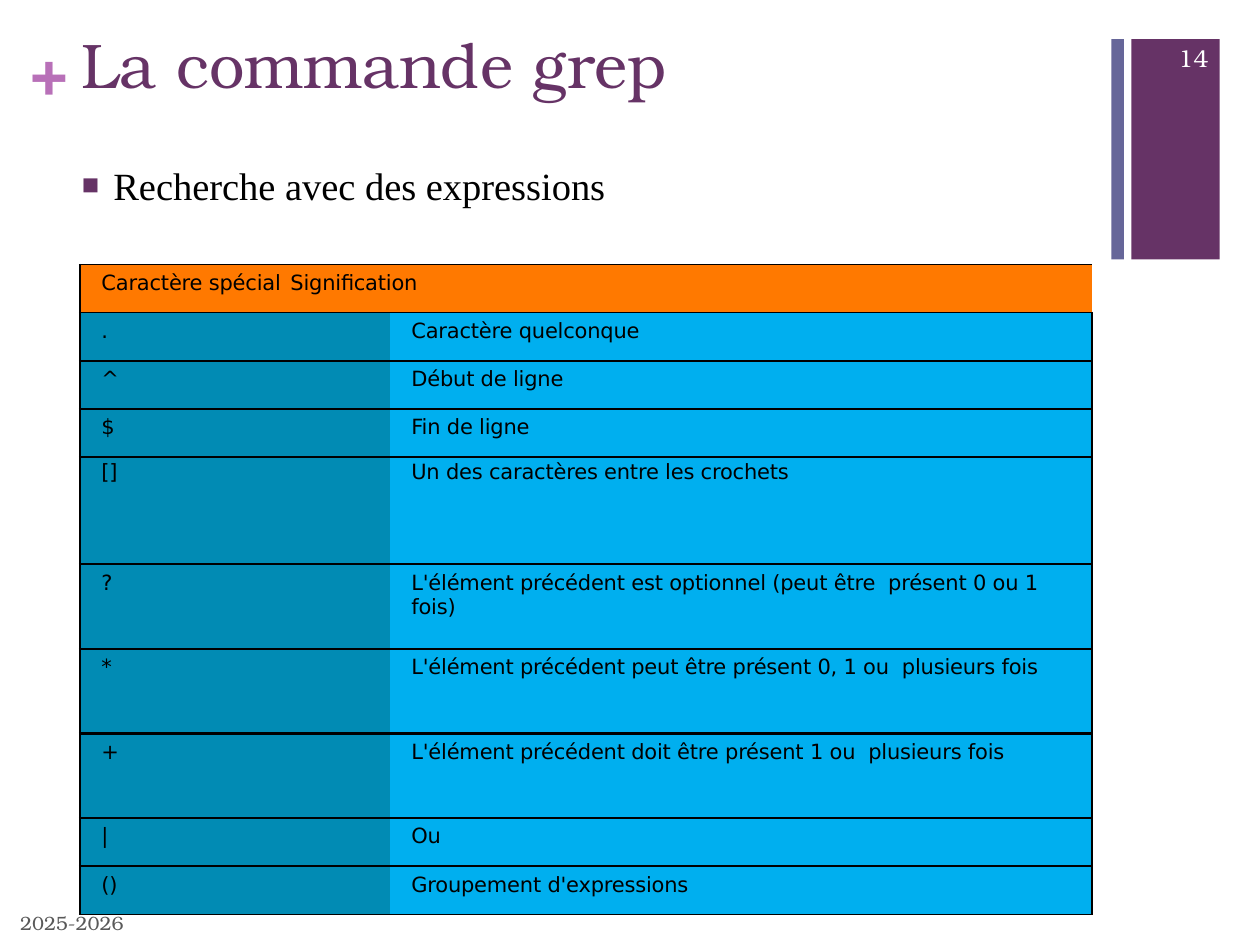
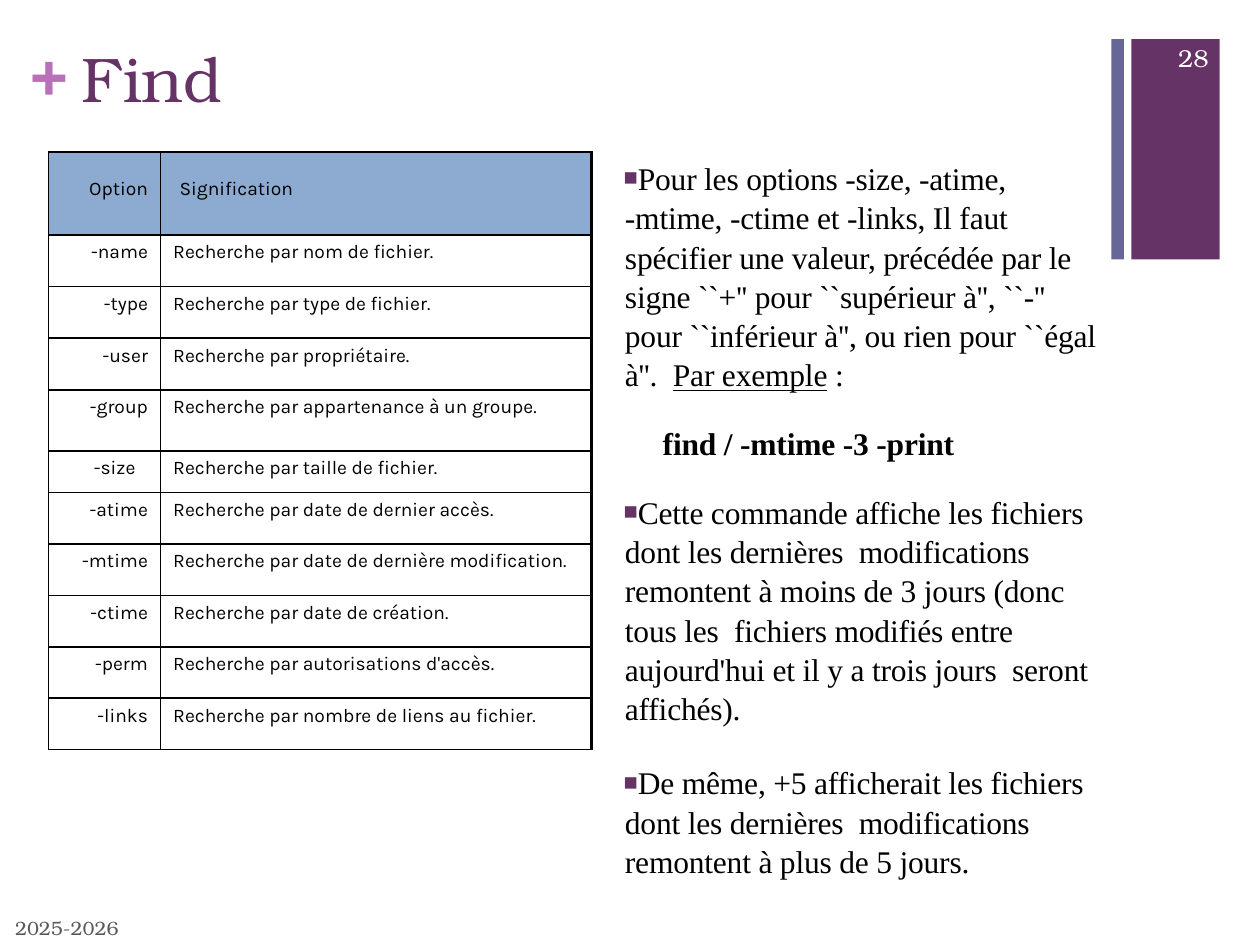
"""Builds two slides on the grep and find commands."""
import lxml.etree
import pptx
import pptx.dml.color
import pptx.enum.shapes
import pptx.enum.text
import pptx.oxml.ns
import pptx.util

RGB = pptx.dml.color.RGBColor
PURPLE = RGB(0x66, 0x33, 0x66)
LILAC = RGB(0xB8, 0x70, 0xB8)
SLATE = RGB(0x66, 0x66, 0x99)
GREY = RGB(0x59, 0x59, 0x59)
BLACK = RGB(0, 0, 0)
WHITE = RGB(0xFF, 0xFF, 0xFF)
ORANGE = RGB(0xFF, 0x79, 0x00)
TEAL = RGB(0x01, 0x8B, 0xB4)
SKY = RGB(0x00, 0xAF, 0xEF)
STEEL = RGB(0x8D, 0xAB, 0xD0)

ALIGN = pptx.enum.text.PP_ALIGN
ANCHOR = pptx.enum.text.MSO_ANCHOR
PT = pptx.util.Pt
UNIT = pptx.util.Inches(0.1)
COLUMNS, ROWS = 100, 75
THIN, THICK = 0.96, 1.47
NO_TABLE_STYLE = "{2D5ABB26-0587-4C30-8999-92F81FD0307C}"

STYLES = {
    "title": (PURPLE, {"name": "TeX Gyre Bonum", "size": PT(36)}),
    "plus": (LILAC, {"name": "TeX Gyre Bonum", "size": PT(36), "bold": True}),
    "year": (GREY, {"name": "TeX Gyre Bonum", "size": PT(11)}),
    "number": (WHITE, {"name": "TeX Gyre Bonum", "size": PT(14)}),
    "lead": (BLACK, {"name": "Times New Roman", "size": PT(22)}),
    "body": (BLACK, {"name": "Times New Roman", "size": PT(18)}),
    "grep": (BLACK, {"name": "DejaVu Sans", "size": PT(12)}),
    "find": (BLACK, {"name": "Karla", "size": PT(11)}),
}

GREP_ROWS = [
    ("Caractère spécial\tSignification", ""),
    (".", "Caractère quelconque"),
    ("^", "Début de ligne"),
    ("$", "Fin de ligne"),
    ("[]", "Un des caractères entre les crochets"),
    ("", ""),
    ("?", "L'élément précédent est optionnel (peut être  présent 0 ou 1 fois)"),
    ("*", "L'élément précédent peut être présent 0, 1 ou  plusieurs fois"),
    ("+", "L'élément précédent doit être présent 1 ou  plusieurs fois"),
    ("|", "Ou"),
    ("()", "Groupement d'expressions"),
]
GREP_HEIGHTS = [3.82] * 4 + [4.5, 3.8] + [6.72] * 3 + [3.82, 3.85]

FIND_ROWS = [
    ("Option", "Signification"),
    ("-name", "Recherche par nom de fichier."),
    ("-type", "Recherche par type de fichier."),
    ("-user", "Recherche par propriétaire."),
    ("-group", "Recherche par appartenance à un groupe."),
    ("-size", "Recherche par taille de fichier."),
    ("-atime", "Recherche par date de dernier accès."),
    ("-mtime", "Recherche par date de dernière modification."),
    ("-ctime", "Recherche par date de création."),
    ("-perm", "Recherche par autorisations d'accès."),
    ("-links", "Recherche par nombre de liens au fichier."),
]
FIND_HEIGHTS = [6.6] + [4.1] * 3 + [4.85, 3.3] + [4.08] * 5

FIND_OPTIONS = (
    "Pour les options -size, -atime, -mtime, -ctime et -links, Il faut spécifier "
    "une valeur, précédée par le signe ``+'' pour ``supérieur à'', ``-'' pour "
    "``inférieur à'', ou rien pour ``égal à''.  "
)
FIND_RESULT = (
    "Cette commande affiche les fichiers dont les dernières  modifications remontent "
    "à moins de 3 jours (donc tous les  fichiers modifiés entre aujourd'hui et il "
    "y a trois jours  seront affichés)."
)
FIND_VARIANT = (
    "De même, +5 afficherait les fichiers dont les dernières  modifications "
    "remontent à plus de 5 jours."
)


def grid(*counts):
    """Turn counts of grid columns or rows into lengths."""
    return [round(count * UNIT) for count in counts]


def assign(target, values):
    """Set each named attribute of the target."""
    for name, value in values.items():
        setattr(target, name, value)


def add_xml(parent, tag, **attributes):
    """Append a DrawingML element."""
    return lxml.etree.SubElement(parent, pptx.oxml.ns.qn(f"a:{tag}"), attributes)


def write(paragraph, text, style, tracking=0, **extra):
    """Add a run in one of the shared text styles."""
    colour, values = STYLES[style]
    run = paragraph.add_run()
    run.text = text
    assign(run.font, {**values, **extra})
    run.font.color.rgb = colour
    if tracking:
        run.font._element.set("spc", str(tracking))


def indent(paragraph, left, first=0):
    """Set the left margin and first-line indent in grid columns."""
    margin, hanging = grid(left, first)
    properties = paragraph._p.get_or_add_pPr()
    properties.set("marL", str(margin))
    properties.set("indent", str(hanging))
    return properties


def mark(paragraph, left, bulleted=True):
    """Give a body paragraph a square bullet, or none."""
    properties = indent(paragraph, left, -2.5 if bulleted else 0)
    if bulleted:
        add_xml(add_xml(properties, "buClr"), "srgbClr", val=str(PURPLE))
        add_xml(properties, "buSzPct", val="75000")
        add_xml(properties, "buChar", char="■")
    else:
        add_xml(properties, "buNone")


def place(shape, left, top, width, height):
    """Move a placeholder to a grid area."""
    names = ("left", "top", "width", "height")
    assign(shape, dict(zip(names, grid(left, top, width, height))))
    assign(shape.text_frame, {
        "auto_size": pptx.enum.text.MSO_AUTO_SIZE.NONE,
        "vertical_anchor": ANCHOR.TOP,
        "word_wrap": True,
    })
    return shape.text_frame


def add_band(slide, area, colour):
    """Draw a plain vertical band."""
    band = slide.shapes.add_shape(pptx.enum.shapes.MSO_SHAPE.RECTANGLE, *grid(*area))
    band.shadow.inherit = False
    band.fill.solid()
    band.fill.fore_color.rgb = colour
    band.line.fill.background()


def add_label(slide, area, text, style, align=ALIGN.RIGHT, **frame_values):
    """Add a one-line text box."""
    frame = slide.shapes.add_textbox(*grid(*area)).text_frame
    assign(frame, {"word_wrap": True, **frame_values})
    frame.paragraphs[0].alignment = align
    write(frame.paragraphs[0], text, style)


def add_page(deck, title, title_top, number, year_corner, body_area):
    """Add a slide with the shared decoration and return it with its body frame."""
    slide = deck.slides.add_slide(deck.slide_layouts[1])
    add_band(slide, (89.8, 3.1, 7, 17.5), PURPLE)
    add_band(slide, (88.2, 3.1, 1, 17.5), SLATE)
    no_margins = dict.fromkeys(
        ("margin_left", "margin_right", "margin_top", "margin_bottom"), 0)
    add_label(slide, (2.4, 2.5, 2.9, 6), "+", "plus", ALIGN.LEFT, **no_margins)
    add_label(slide, (*year_corner, 10.8, 3.9), "2025-2026", "year",
              margin_top=grid(0.3)[0])
    add_label(slide, (90.8, 2.6, 6.1, 4), number, "number",
              vertical_anchor=ANCHOR.MIDDLE)
    heading = place(slide.shapes.title, 5.5, title_top, 82.6, 12.2).paragraphs[0]
    heading.alignment = ALIGN.LEFT
    write(heading, title, "title")
    return slide, place(slide.placeholders[1], *body_area)


def draw_borders(cell, **widths):
    """Draw the cell's sides, given as point widths, where zero hides a side."""
    properties = cell._tc.get_or_add_tcPr()
    for side, width in widths.items():
        line = add_xml(properties, f"ln{side}", w=str(PT(width)))
        if width:
            add_xml(add_xml(line, "solidFill"), "srgbClr", val=str(BLACK))
        else:
            add_xml(line, "noFill")


def add_table(slide, corner, widths, heights, uprights, rules, fills):
    """Add a ruled table; fills gives the header colours, then the body colours."""
    size = (sum(widths), sum(heights))
    table = slide.shapes.add_table(
        len(heights), len(widths), *grid(*corner, *size)).table
    assign(table, {"first_row": False, "horz_banding": False})
    table._tbl.tblPr.find(pptx.oxml.ns.qn("a:tableStyleId")).text = NO_TABLE_STYLE
    for column, width in zip(table.columns, grid(*widths)):
        column.width = width
    for row, height in zip(table.rows, grid(*heights)):
        row.height = height
    for r in range(len(heights)):
        for c in range(len(widths)):
            cell = table.cell(r, c)
            draw_borders(cell, L=uprights[c], R=uprights[c + 1],
                         T=rules[r], B=rules[r + 1])
            colour = fills[r > 0][c]
            if colour is None:
                cell.fill.background()
            else:
                cell.fill.solid()
                cell.fill.fore_color.rgb = colour
    return table


def rule_widths(count, exceptions):
    """List thin horizontal rules with the given exceptions."""
    return [exceptions.get(index, THIN) for index in range(count + 1)]


def build_grep(deck):
    """Build the slide on special characters in grep."""
    slide, body = add_page(deck, "La commande grep", 1.5, "14", (0, 72),
                           (5.5, 10.5, 94.5, 59.8))
    lead = body.paragraphs[0]
    mark(lead, 2.5)
    assign(lead, {"space_before": PT(0), "line_spacing": 1.5})
    write(lead, "Recherche avec des expressions", "lead")

    rules = rule_widths(len(GREP_ROWS), {5: 0, 8: THICK})
    table = add_table(slide, (6.35, 21), (24.6, 55.7), GREP_HEIGHTS,
                      (THICK, 0, THICK), rules, ((ORANGE, ORANGE), (TEAL, SKY)))
    table.cell(0, 0).merge(table.cell(0, 1))
    for r, texts in enumerate(GREP_ROWS):
        for c, text in enumerate(texts):
            if text:
                paragraph = table.cell(r, c).text_frame.paragraphs[0]
                properties = indent(paragraph, 0.7)
                if "\t" in text:
                    tabs = add_xml(properties, "tabLst")
                    add_xml(tabs, "tab", pos=str(grid(19.8)[0]), algn="l")
                if text == "[]" or texts[0] == "[]":
                    paragraph.line_spacing = PT(12.4)
                write(paragraph, text, "grep", -10)


def build_find(deck):
    """Build the slide on the options of find."""
    slide, body = add_page(deck, "Find", 2.6, "28", (-0.4, 72.4),
                           (48.5, 12, 39.5, 60.3))
    passages = [
        (0, True, [(FIND_OPTIONS, {}), ("Par exemple", {"underline": True}), (" :", {})]),
        (16.7, False, [("find / -mtime -3 -print", {"bold": True})]),
        (16.8, True, [(FIND_RESULT, {})]),
        (20, True, [(FIND_VARIANT, {})]),
    ]
    for index, (gap, bulleted, runs) in enumerate(passages):
        paragraph = body.add_paragraph() if index else body.paragraphs[0]
        mark(paragraph, 0.1 if bulleted else 3.1, bulleted)
        assign(paragraph, {"space_before": PT(gap), "line_spacing": 1.04})
        for text, extra in runs:
            write(paragraph, text, "body", -10, **extra)

    rules = rule_widths(len(FIND_ROWS), dict.fromkeys((3, 4, 5, 9, 10), THICK))
    table = add_table(slide, (3.85, 12.05), (8.9, 34.2), FIND_HEIGHTS,
                      (THIN, THIN, THICK), rules, ((STEEL, STEEL), (None, None)))
    for r, (option, meaning) in enumerate(FIND_ROWS):
        for c, text in enumerate((option, meaning)):
            cell = table.cell(r, c)
            paragraph = cell.text_frame.paragraphs[0]
            if r == 0:
                cell.margin_top = grid(2.1)[0]
                indent(paragraph, 0.5 * c)
            if text == "-size":
                indent(paragraph, 2.6)
            elif c == 0:
                paragraph.alignment = ALIGN.RIGHT
            write(paragraph, text, "find")


def main():
    """Build and save the presentation."""
    deck = pptx.Presentation()
    deck.slide_width, deck.slide_height = grid(COLUMNS, ROWS)
    build_grep(deck)
    build_find(deck)
    deck.save("out.pptx")


if __name__ == "__main__":
    main()
